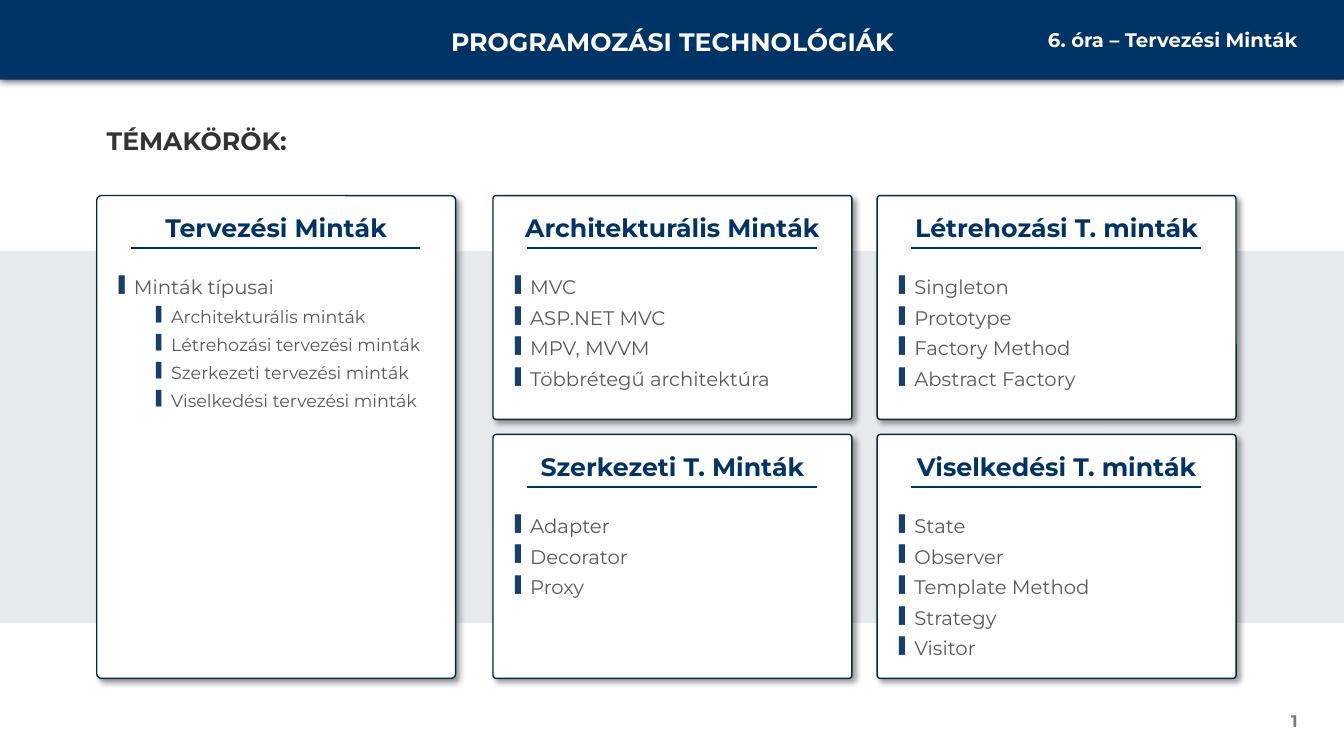
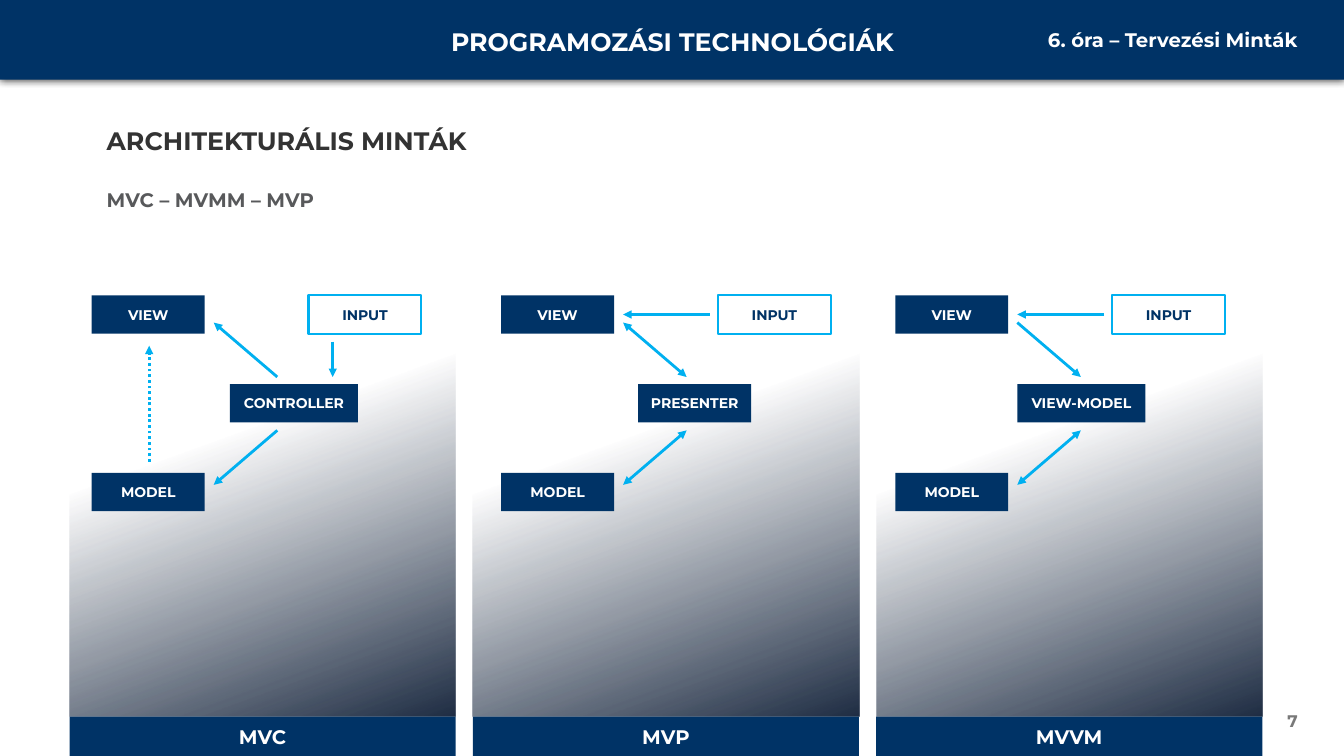
from lxml import etree
from pptx import Presentation
from pptx.dml.color import RGBColor
from pptx.enum.dml import MSO_LINE
from pptx.enum.shapes import MSO_CONNECTOR, MSO_SHAPE
from pptx.enum.text import MSO_ANCHOR, PP_ALIGN
from pptx.oxml import parse_xml
from pptx.oxml.ns import nsdecls, qn
from pptx.util import Inches, Pt

RECT, ROUNDED = MSO_SHAPE.RECTANGLE, MSO_SHAPE.ROUNDED_RECTANGLE
STRAIGHT, DOTTED = MSO_CONNECTOR.STRAIGHT, MSO_LINE.ROUND_DOT
LEFT, CENTER, RIGHT = PP_ALIGN.LEFT, PP_ALIGN.CENTER, PP_ALIGN.RIGHT
TOP, MIDDLE = MSO_ANCHOR.TOP, MSO_ANCHOR.MIDDLE

FONT = "Montserrat"
NAVY, SKY, WHITE = "003366", "00B0F0", "FFFFFF"
HEADING, BODY, MUTED = "333333", "58595B", "797979"
CARD_EDGE, BULLET, GRADIENT = "092A39", "173F6C", "06162F"
SLIDE_W, SLIDE_H = 13.33, 7.5
CONTENT_X = 0.96

# Diagram measures, relative to the top left corner of the VIEW node
NODE_W, WIDE_NODE_W, NODE_H = 1.12, 1.27, 0.38
ROW_STEP = 0.88
ARROWS = {
    "view-middle": (1.21, 0.27, 1.84, 0.81),
    "middle-model": (1.84, 1.34, 1.21, 1.88),
    "input-view": (2.07, 0.19, 1.21, 0.19),
    "input-middle": (2.39, 0.46, 2.39, 0.81),
    "model-view": (0.57, 1.65, 0.57, 0.50),
}


def color(value):
    return RGBColor.from_string(value)


# ---- Basic parts ----
def add_box(page, box, fill=None, line=None, line_width=1.0, kind=RECT):
    shape = page.shapes.add_shape(kind, *map(Inches, box))
    shape.shadow.inherit = False
    if fill:
        shape.fill.solid()
        shape.fill.fore_color.rgb = color(fill)
    else:
        shape.fill.background()
    if line:
        shape.line.color.rgb = color(line)
        shape.line.width = Pt(line_width)
    else:
        shape.line.fill.background()
    return shape


def add_shadow(shape, opacity, blur, distance, angle):
    effects = shape._element.spPr.find(qn("a:effectLst"))
    effects.append(parse_xml(
        f'<a:outerShdw {nsdecls("a")} blurRad="{Pt(blur)}" dist="{Pt(distance)}" '
        f'dir="{angle * 60000}" algn="ctr" rotWithShape="0"><a:srgbClr val="000000">'
        f'<a:alpha val="{opacity * 1000}"/></a:srgbClr></a:outerShdw>'))


def set_opacity(shape, percent):
    swatch = shape._element.spPr.find(qn("a:solidFill"))[0]
    etree.SubElement(swatch, qn("a:alpha")).set("val", str(percent * 1000))


def set_fade(shape, start, opacity, angle):
    """Fade from clear at the start percentage to the given opacity."""
    stops = "".join(
        f'<a:gs pos="{place * 1000}"><a:srgbClr val="{GRADIENT}">'
        f'<a:alpha val="{alpha * 1000}"/></a:srgbClr></a:gs>'
        for place, alpha in ((start, 0), (100, opacity)))
    properties = shape._element.spPr
    properties.replace(properties.find(qn("a:noFill")), parse_xml(
        f'<a:gradFill {nsdecls("a")} rotWithShape="1"><a:gsLst>{stops}</a:gsLst>'
        f'<a:lin ang="{angle * 60000}" scaled="0"/></a:gradFill>'))


def write(para, text, size, hue, bold=True, align=LEFT):
    para.alignment = align
    span = para.add_run()
    span.text = text
    span.font.name = FONT
    span.font.size = Pt(size)
    span.font.bold = bold
    span.font.color.rgb = color(hue)


def add_text(page, box, text, size, hue, align=LEFT, anchor=TOP):
    frame = page.shapes.add_textbox(*map(Inches, box)).text_frame
    frame.word_wrap = True
    frame.vertical_anchor = anchor
    write(frame.paragraphs[0], text, size, hue, align=align)


def add_label(page, box, text, size=10, fill=NAVY, line=None, hue=WHITE):
    shape = add_box(page, box, fill, line, 1.5)
    frame = shape.text_frame
    frame.word_wrap = True
    frame.vertical_anchor = MIDDLE
    write(frame.paragraphs[0], text, size, hue, align=CENTER)


def add_line(page, ends, hue, width, heads="", dash=None):
    """Draw a line; heads may hold '<' for its start and '>' for its end."""
    line = page.shapes.add_connector(STRAIGHT, *map(Inches, ends))
    line.line.color.rgb = color(hue)
    line.line.width = Pt(width)
    if dash:
        line.line.dash_style = dash
    outline = line.line._get_or_add_ln()
    for sign, tag in (("<", "a:headEnd"), (">", "a:tailEnd")):
        if sign in heads:
            etree.SubElement(outline, qn(tag)).set("type", "triangle")
    etree.SubElement(line._element.spPr, qn("a:effectLst"))


def add_bullets(page, box, items):
    frame = page.shapes.add_textbox(*map(Inches, box)).text_frame
    frame.word_wrap = True
    for index, (level, text) in enumerate(items):
        para = frame.add_paragraph() if index else frame.paragraphs[0]
        para.level = level
        properties = para._p.get_or_add_pPr()
        properties.set("marL", str(Inches((0.15, 0.52)[level])))
        properties.set("indent", str(Inches(-0.15)))
        hue = etree.SubElement(properties, qn("a:buClr"))
        etree.SubElement(hue, qn("a:srgbClr")).set("val", BULLET)
        etree.SubElement(properties, qn("a:buSzPct")).set("val", "80000")
        etree.SubElement(properties, qn("a:buChar")).set("char", "▌")
        if index:
            para.space_before = Pt(3)
        para.space_after = Pt(2)
        write(para, text, (14, 12.5)[level], BODY, bold=False)


# ---- Shared frame: header band, heading, page number ----
def add_frame(page, heading, number):
    band = add_box(page, (0, 0, SLIDE_W, 0.79), NAVY)
    add_shadow(band, 80, 6, 0, 90)
    add_text(page, (4.06, 0.21, 5.22, 0.4), "PROGRAMOZÁSI TECHNOLÓGIÁK", 18, WHITE, CENTER)
    add_text(page, (9.59, 0.23, 3.38, 0.34), "6. óra – Tervezési Minták", 14, WHITE, RIGHT)
    add_text(page, (CONTENT_X, 1.19, 8.32, 0.4), heading, 18, HEADING)
    add_text(page, (9.97, 6.95, 3, 0.4), number, 12, MUTED, RIGHT, MIDDLE)


# ---- Topic card: title, rule, bullets ----
def add_card(page, box, title, items):
    left, top, width, height = box
    card = add_box(page, box, WHITE, CARD_EDGE, kind=ROUNDED)
    card.adjustments[0] = 0.013
    add_shadow(card, 40, 4, 3, 45)
    add_text(page, (left, top + 0.12, width, 0.4), title, 18, NAVY, CENTER)
    rule_y = top + 0.52
    add_line(page, (left + 0.34, rule_y, left + width - 0.35, rule_y), NAVY, 1.5)
    add_bullets(page, (left + 0.12, top + 0.74, width - 0.25, height - 0.86), items)


def build_topics(page):
    band = add_box(page, (0, 2.49, SLIDE_W, 3.69), NAVY)
    set_opacity(band, 10)
    add_frame(page, "TÉMAKÖRÖK:", "1")

    width, upper, lower, bottom = 3.56, 1.94, 4.31, 6.73
    middle, right = 4.89, 8.7
    cards = [
        (CONTENT_X, upper, bottom - upper, "Tervezési Minták",
         [(0, "Minták típusai"), (1, "Architekturális minták"),
          (1, "Létrehozási tervezési minták"), (1, "Szerkezeti tervezési minták"),
          (1, "Viselkedési tervezési minták")]),
        (middle, upper, 2.22, "Architekturális Minták",
         [(0, "MVC"), (0, "ASP.NET MVC"), (0, "MPV, MVVM"),
          (0, "Többrétegű architektúra")]),
        (right, upper, 2.22, "Létrehozási T. minták",
         [(0, "Singleton"), (0, "Prototype"), (0, "Factory Method"),
          (0, "Abstract Factory")]),
        (middle, lower, bottom - lower, "Szerkezeti T. Minták",
         [(0, "Adapter"), (0, "Decorator"), (0, "Proxy")]),
        (right, lower, bottom - lower, "Viselkedési T. minták",
         [(0, "State"), (0, "Observer"), (0, "Template Method"),
          (0, "Strategy"), (0, "Visitor")]),
    ]
    for left, top, height, title, items in cards:
        add_card(page, (left, top, width, height), title, items)


# ---- Pattern panel: faded ground, nodes, arrows, caption ----
def add_pattern(page, box, name, inset, middle, arrows):
    left, top, width, height = box
    caption_h = 0.39
    panel = add_box(page, (left, top, width, height - caption_h))
    set_fade(panel, 40, 90, 70)
    add_label(page, (left, top + height - caption_h, width, caption_h), name, 14)

    x, y = left + inset, top + 0.44
    middle_name, middle_x, middle_w = middle
    add_label(page, (x, y, NODE_W, NODE_H), "VIEW")
    add_label(page, (x + middle_x, y + ROW_STEP, middle_w, NODE_H), middle_name)
    add_label(page, (x, y + 2 * ROW_STEP, NODE_W, NODE_H), "MODEL")
    add_label(page, (x + 2.15, y, NODE_W, NODE_H), "INPUT", fill=None, line=SKY, hue=NAVY)
    for route, heads in arrows.items():
        x1, y1, x2, y2 = ARROWS[route]
        dash = DOTTED if route == "model-view" else None
        add_line(page, (x + x1, y + y1, x + x2, y + y2), SKY, 2, heads, dash)


def build_patterns(page):
    add_frame(page, "ARCHITEKTURÁLIS MINTÁK", "7")
    add_text(page, (CONTENT_X, 1.82, 11.29, 0.4), "MVC – MVMM – MVP", 14, BODY)

    patterns = [
        ("MVC", 0.22, ("CONTROLLER", 1.37, WIDE_NODE_W),
         {"view-middle": "<", "middle-model": ">", "input-middle": ">", "model-view": ">"}),
        ("MVP", 0.28, ("PRESENTER", 1.36, NODE_W),
         {"view-middle": "<>", "middle-model": "<>", "input-view": ">"}),
        ("MVVM", 0.19, ("VIEW-MODEL", 1.21, WIDE_NODE_W),
         {"view-middle": ">", "middle-model": "<>", "input-view": ">"}),
    ]
    top = 2.49
    for column, pattern in enumerate(patterns):
        add_pattern(page, (0.69 + 4 * column, top, 3.83, SLIDE_H - top), *pattern)


def main():
    deck = Presentation()
    deck.slide_width, deck.slide_height = Inches(SLIDE_W), Inches(SLIDE_H)
    blank = deck.slide_layouts[6]
    for build in (build_topics, build_patterns):
        build(deck.slides.add_slide(blank))
    deck.save("out.pptx")


if __name__ == "__main__":
    main()
